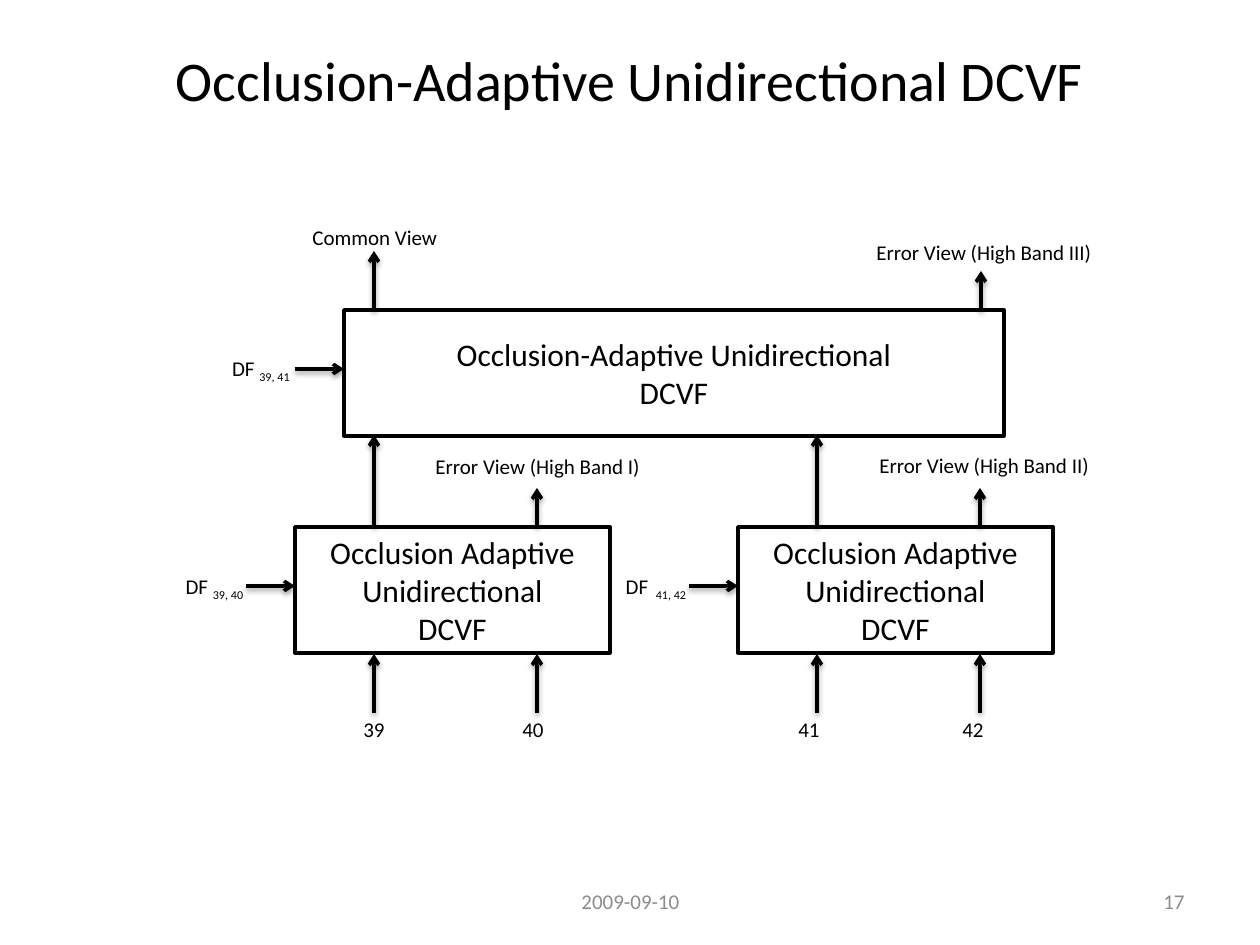
from lxml import etree
from pptx import Presentation
from pptx.dml.color import RGBColor
from pptx.enum.shapes import MSO_CONNECTOR, MSO_SHAPE
from pptx.enum.text import MSO_ANCHOR, PP_ALIGN
from pptx.oxml import parse_xml
from pptx.oxml.ns import nsdecls, qn
from pptx.util import Pt

LEFT, CENTER, RIGHT = PP_ALIGN.LEFT, PP_ALIGN.CENTER, PP_ALIGN.RIGHT
TOP, MIDDLE = MSO_ANCHOR.TOP, MSO_ANCHOR.MIDDLE
RECTANGLE, STRAIGHT = MSO_SHAPE.RECTANGLE, MSO_CONNECTOR.STRAIGHT

PX = 914400 // 126  # EMU per px
THEME = {
    "font": "Calibri",
    "ink": RGBColor(0x00, 0x00, 0x00),
    "paper": RGBColor(0xFF, 0xFF, 0xFF),
    "muted": RGBColor(0x8C, 0x8C, 0x8C),
    "title": 32,
    "block": 18,
    "label": 12,
    "line": 2,
}
SHADOW = (
    f'<a:effectLst {nsdecls("a")}>'
    '<a:outerShdw blurRad="40000" dist="20000" dir="5400000" rotWithShape="0">'
    '<a:srgbClr val="000000"><a:alpha val="38000"/></a:srgbClr>'
    '</a:outerShdw></a:effectLst>'
)


def write(shape, text, subscript="", size=THEME["label"], color=THEME["ink"],
          align=CENTER, anchor=TOP, wrap=True):
    """Fill a shape with text; each line is a paragraph, \\v breaks a line."""
    frame = shape.text_frame
    frame.word_wrap = wrap
    frame.vertical_anchor = anchor
    frame.text = text
    if subscript:
        span = frame.paragraphs[-1].add_run()
        span.text = subscript
        span.font._element.set("baseline", "-25000")
    for para in frame.paragraphs:
        para.alignment = align
        for span in para.runs:
            span.font.name = THEME["font"]
            span.font.size = Pt(size)
            span.font.color.rgb = color


def add_box(left, top, width, height):
    return page.shapes.add_textbox(left * PX, top * PX, width * PX, height * PX)


deck = Presentation()
deck.slide_width, deck.slide_height = 1260 * PX, 945 * PX
page = deck.slides.add_slide(deck.slide_layouts[6])

# Title and footer
write(add_box(63, 0, 1134, 158), "Occlusion-Adaptive Unidirectional DCVF",
      size=THEME["title"], anchor=MIDDLE)
write(add_box(903, 876, 294, 50), "17", color=THEME["muted"], align=RIGHT,
      anchor=MIDDLE)
write(add_box(431, 876, 399, 50), "2009-09-10", color=THEME["muted"],
      anchor=MIDDLE)

# Filter blocks
LOWER_TEXT = "Occlusion Adaptive\vUnidirectional\nDCVF"
UPPER_TEXT = "Occlusion-Adaptive Unidirectional\nDCVF"
BLOCK_HEIGHT = 126
UPPER_TOP, LOWER_TOP = 310, 527
UPPER_LEFT = 344
LOWER_LEFTS = (295, 738)
blocks = [(left, LOWER_TOP, 315, LOWER_TEXT) for left in LOWER_LEFTS]
blocks.append((UPPER_LEFT, UPPER_TOP, 660, UPPER_TEXT))
for left, top, width, text in blocks:
    block = page.shapes.add_shape(RECTANGLE, left * PX, top * PX,
                                  width * PX, BLOCK_HEIGHT * PX)
    block.shadow.inherit = False
    block.fill.solid()
    block.fill.fore_color.rgb = THEME["paper"]
    block.line.color.rgb = THEME["ink"]
    block.line.width = Pt(THEME["line"])
    write(block, text, size=THEME["block"], anchor=MIDDLE)

# Arrows: start x, start y, end x, end y
arrows = [(374, UPPER_TOP, 374, 251), (981, UPPER_TOP, 981, 271),
          (UPPER_LEFT - 49, 369, UPPER_LEFT, 369)]
for left in LOWER_LEFTS:
    first, second = left + 79, left + 242
    arrows += [
        (first, LOWER_TOP, first, 435),
        (second, LOWER_TOP, second, 488),
        (first, 713, first, 654),
        (second, 713, second, 654),
        (left - 49, 586, left, 586),
    ]
for ends in arrows:
    arrow = page.shapes.add_connector(STRAIGHT, *(end * PX for end in ends))
    arrow.line.color.rgb = THEME["ink"]
    arrow.line.width = Pt(THEME["line"])
    etree.SubElement(arrow.line._get_or_add_ln(), qn("a:tailEnd"), type="arrow")
    arrow._element.spPr.append(parse_xml(SHADOW))

# Displacement field labels
for left, top, width, subscript in (
    (217, 349, 88, "39, 41"),
    (96, 567, 237, "39, 40"),
    (597, 567, 118, " 41, 42"),
):
    write(add_box(left, top, width, 38), "DF ", subscript=subscript)

# Input view numbers
for middle, number in ((374, "39"), (533, "40"), (809, "41"), (973, "42")):
    write(add_box(middle - 25, 710, 50, 38), number)

# Output view labels
for left, top, width, text in (
    (300, 218, 151, "Common View"),
    (864, 233, 242, "Error View (High Band III)"),
    (423, 447, 232, "Error View (High Band I)"),
    (867, 446, 237, "Error View (High Band II)"),
):
    write(add_box(left, top, width, 38), text, align=LEFT, wrap=False)

deck.save("out.pptx")
